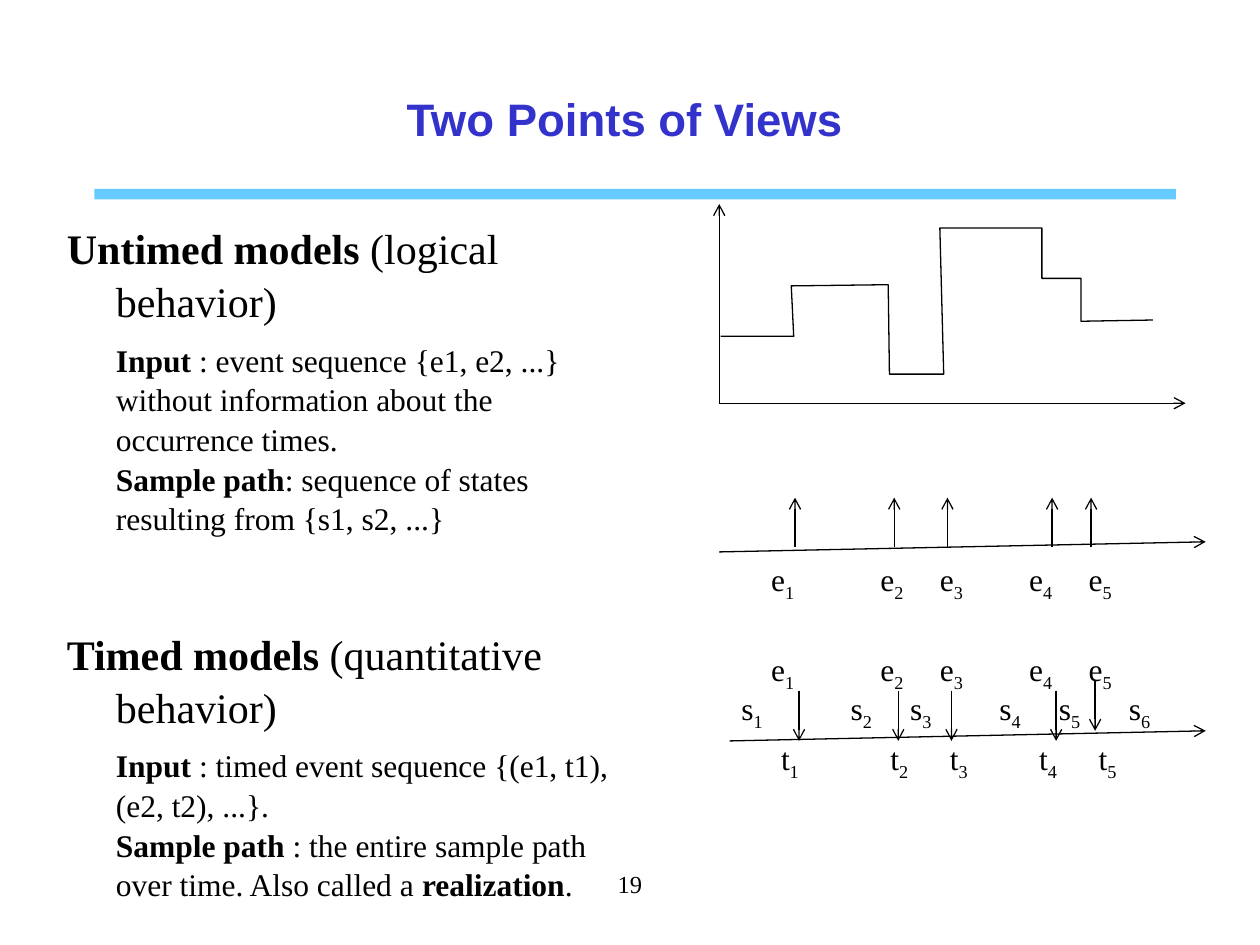
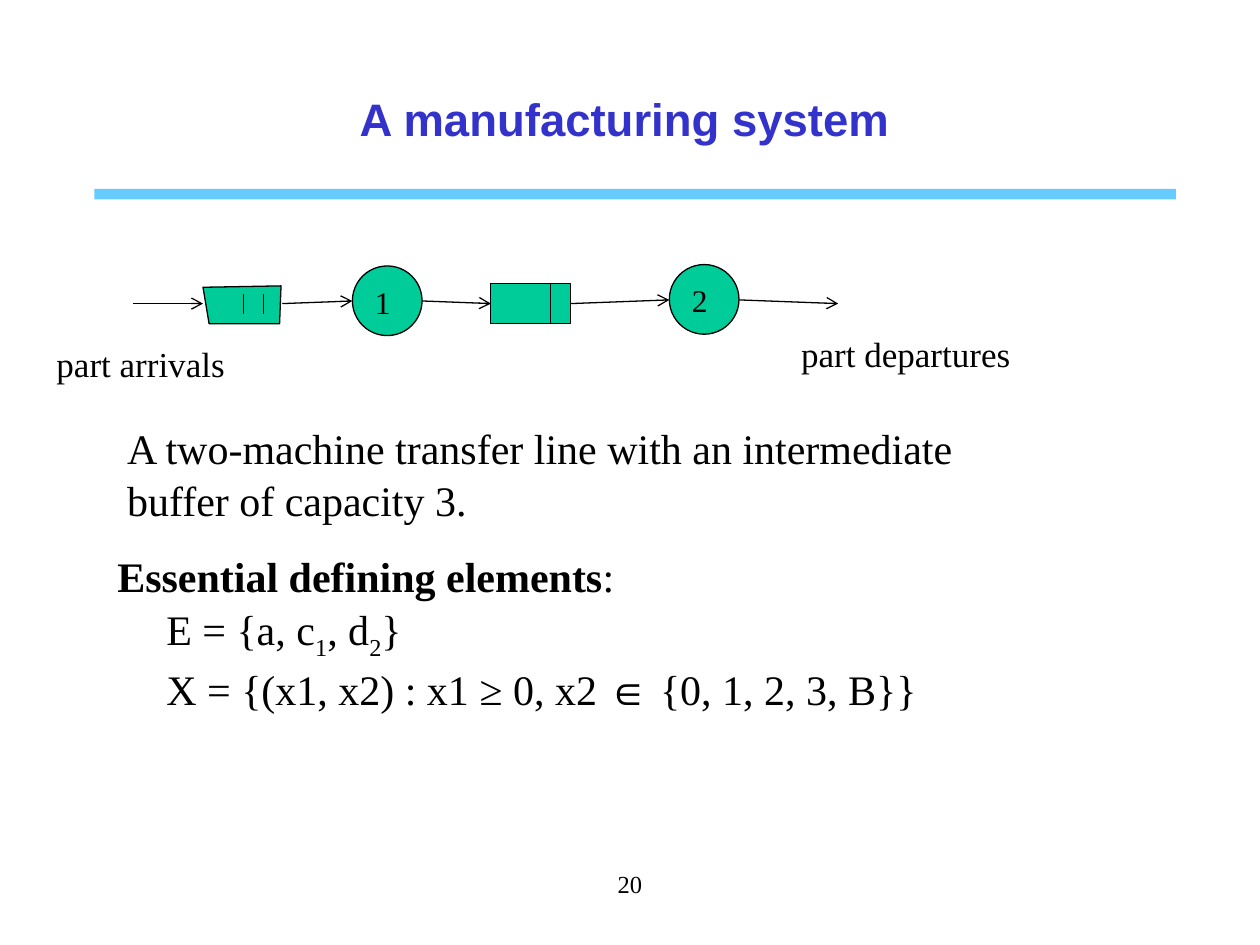
from lxml.etree import SubElement as Sub
from pptx import Presentation as Deck
from pptx.dml.color import RGBColor as Rgb
from pptx.enum.shapes import MSO_CONNECTOR as Conn, MSO_SHAPE as Form
from pptx.enum.text import MSO_ANCHOR as Anchor, MSO_AUTO_SIZE as Fit, PP_ALIGN as Align
from pptx.oxml.ns import qn
from pptx.util import Pt

INK, NAVY, SKY, GREEN = "000000", "3333CC", "66CCFF", "00CC99"
SERIF, SANS = "Times New Roman", "Arial"
THIN = 0.75
HANG = 28


def tint(code):
    """Turn a hex string into a colour."""
    return Rgb.from_string(code)


def write(frame, text, size=18, font=SERIF, color=INK, bold=False,
          align=Align.LEFT, gap=0, left=0, first=0, new=False):
    """Write one paragraph; *stars* mark bold and _bars_ mark subscripts."""
    par = frame.add_paragraph() if new else frame.paragraphs[0]
    par.alignment, par.line_spacing = align, 1.05
    par.space_before, par.space_after = Pt(gap), Pt(0)
    props = par._p.get_or_add_pPr()
    props.set("marL", str(Pt(left)))
    props.set("indent", str(Pt(first)))
    Sub(props, qn("a:buNone"))
    for i, part in enumerate(text.split("*")):
        for j, bit in enumerate(part.split("_")):
            if not bit:
                continue
            run = par.add_run()
            run.text = bit
            run.font.size, run.font.name = Pt(size), font
            run.font.bold = bold or i % 2 == 1
            run.font.color.rgb = tint(color)
            if j % 2:
                run.font._element.set("baseline", "-25000")


class Page:
    """Holds the deck style and the current slide."""

    def __init__(self, deck):
        """Keep the deck."""
        self.deck = deck

    def start(self, title, number):
        """Add a slide with its title, band and page number."""
        layout = self.deck.slide_layouts[1]
        self.slide = self.deck.slides.add_slide(layout)
        self.shapes = self.slide.shapes
        self.shape(Form.RECTANGLE, 54, 108, 618, 6, SKY, None)
        frame = self.place(self.shapes.title, 48, 48, 618, 38)
        frame.vertical_anchor = Anchor.MIDDLE
        write(frame, title, size=26, font=SANS, color=NAVY, bold=True,
              align=Align.CENTER)
        self.label(number, 246, 492, 228, 36, size=14, align=Align.CENTER)

    def place(self, item, x, y, w, h):
        """Move a text holder and return its plain, wrapping frame."""
        item.left, item.top, item.width, item.height = map(Pt, (x, y, w, h))
        frame = item.text_frame
        frame.word_wrap, frame.auto_size = True, Fit.NONE
        frame.vertical_anchor = Anchor.TOP
        return frame

    def body(self, rows, x, y, w, h):
        """Fill the body placeholder with (text, format) rows."""
        frame = self.place(self.slide.placeholders[1], x, y, w, h)
        for i, (text, form) in enumerate(rows):
            write(frame, text, left=HANG, new=i > 0, **form)

    def label(self, text, x, y, w=34, h=29, **form):
        """Add a text box."""
        box = self.shapes.add_textbox(0, 0, 0, 0)
        write(self.place(box, x, y, w, h), text, **form)

    def paint(self, item, fill, line):
        """Set fill and outline and drop the shadow."""
        item.shadow.inherit = False
        if fill:
            item.fill.solid()
            item.fill.fore_color.rgb = tint(fill)
        else:
            item.fill.background()
        if line:
            item.line.color.rgb, item.line.width = tint(line), Pt(THIN)
        else:
            item.line.fill.background()

    def shape(self, kind, x, y, w, h, fill, line=INK, text=""):
        """Add a preset shape, with text if given."""
        item = self.shapes.add_shape(kind, *map(Pt, (x, y, w, h)))
        self.paint(item, fill, line)
        if text:
            item.text_frame.vertical_anchor = Anchor.MIDDLE
            write(item.text_frame, text)

    def trace(self, dots, fill=None, close=False):
        """Draw an outline through the dots."""
        dots = [(Pt(x), Pt(y)) for x, y in dots]
        pen = self.shapes.build_freeform(*dots[0])
        pen.add_line_segments(dots[1:], close=close)
        self.paint(pen.convert_to_shape(), fill, INK)

    def line(self, x1, y1, x2, y2, arrow=True):
        """Draw a line, with an arrowhead at its end by default."""
        item = self.shapes.add_connector(Conn.STRAIGHT, *map(Pt, (x1, y1, x2, y2)))
        item.line.color.rgb, item.line.width = tint(INK), Pt(THIN)
        props = item._element.spPr
        if arrow:
            Sub(props.find(qn("a:ln")), qn("a:tailEnd"), type="arrow")
        Sub(props, qn("a:effectLst"))


def views(page):
    """Build the slide on untimed and timed models."""
    page.start("Two Points of Views", "19")
    head = dict(size=24, first=-HANG)
    page.body([
        ("*Untimed models *(logical behavior)", head),
        ("*Input* : event sequence {e1, e2, ...} without information about "
         "the occurrence times.", dict(gap=7.2)),
        ("*Sample path*: sequence of states resulting from {s1, s2, ...}", {}),
        ("*Timed models* (quantitative behavior)", dict(head, gap=50.7)),
        ("*Input* : timed event sequence {(e1, t1), (e2, t2), ...}.",
         dict(gap=7.2)),
        ("*Sample path* : the entire sample path over time. "
         "Also called a *realization*.", {}),
    ], 31, 122.4, 340, 385)

    # State chart
    page.line(411, 230.4, 677.5, 230.4)
    page.line(411, 230.4, 411, 116.6)
    page.trace([(411.8, 192.2), (453.6, 192.2), (452.2, 163.4), (507.6, 162.7),
                (508.3, 213.8), (539.3, 213.8), (537.1, 130.3), (595.4, 130.3),
                (595.4, 159.1), (617.8, 159.1), (617.8, 183.6), (658.8, 182.9)])

    # Event axes
    page.line(411, 315.4, 689, 309.6)
    page.line(417, 423.4, 689, 417.6)
    marks = [433.5, 496, 530, 581, 615, 655]
    rows = [("e", 0, 315.4, 5), ("e", 0, 366.5, 5),
            ("s", -17, 388.8, 6), ("t", 5.7, 417.6, 5)]
    for name, shift, y, count in rows:
        for i, x in enumerate(marks[:count], 1):
            page.label(f"{name}_{i}_", x + shift, y)
    for i, x in enumerate([454.3, 511, 541.4, 601.2, 623.5]):
        page.line(x, 312.5, x, 284.4)
        top = 388.8 if i == 4 else 394.6
        page.line(x + 2.3, top, x + 2.3, top + 28.8)


def system(page):
    """Build the slide on the two-machine line."""
    page.start("A manufacturing system", "20")
    page.body([
        ("*Essential defining elements*:", dict(size=24, first=-HANG)),
        ("E = {a, c_1_, d_2_}", dict(size=24)),
        ("X = {(x1, x2) : x1 ≥ 0, x2 ∈ {0, 1, 2, 3, B}}", dict(size=24)),
    ], 59.8, 309.6, 572, 124)

    # Buffers and machines
    page.trace([(116, 164.2), (160.6, 163.4), (159.8, 185), (119.5, 185)],
               GREEN, close=True)
    for x in (139, 150.5):
        page.line(x, 167.8, x, 179.3, arrow=False)
    page.shape(Form.RECTANGLE, 280.5, 162.2, 45.5, 22.6, GREEN)
    page.line(314.6, 162.2, 314.6, 184.8, arrow=False)
    for name, x, y in (("1", 201.4, 152), ("2", 382.5, 151.2)):
        page.shape(Form.OVAL, x, y, 39.8, 39.8, GREEN, text=name)

    # Part flow
    flow = [(76.3, 173.5, 116, 173.5), (161.3, 173.5, 201.4, 172),
            (241.2, 172, 280.5, 173.5), (326, 173.5, 382.5, 171.4),
            (422.5, 171.4, 479, 173.5)]
    for ends in flow:
        page.line(*ends)
    page.label("part arrivals", 25.2, 190.8, 130, 32, size=20)
    page.label("part departures", 450.7, 185, 142, 32, size=20)
    page.label("A two-machine transfer line with an intermediate buffer "
               "of capacity 3.", 65.5, 236.2, 516, 65.5, size=24)


def main():
    """Build and save the deck."""
    deck = Deck()
    deck.slide_width, deck.slide_height = Pt(720), Pt(540)
    page = Page(deck)
    views(page)
    system(page)
    deck.save("out.pptx")


main()
